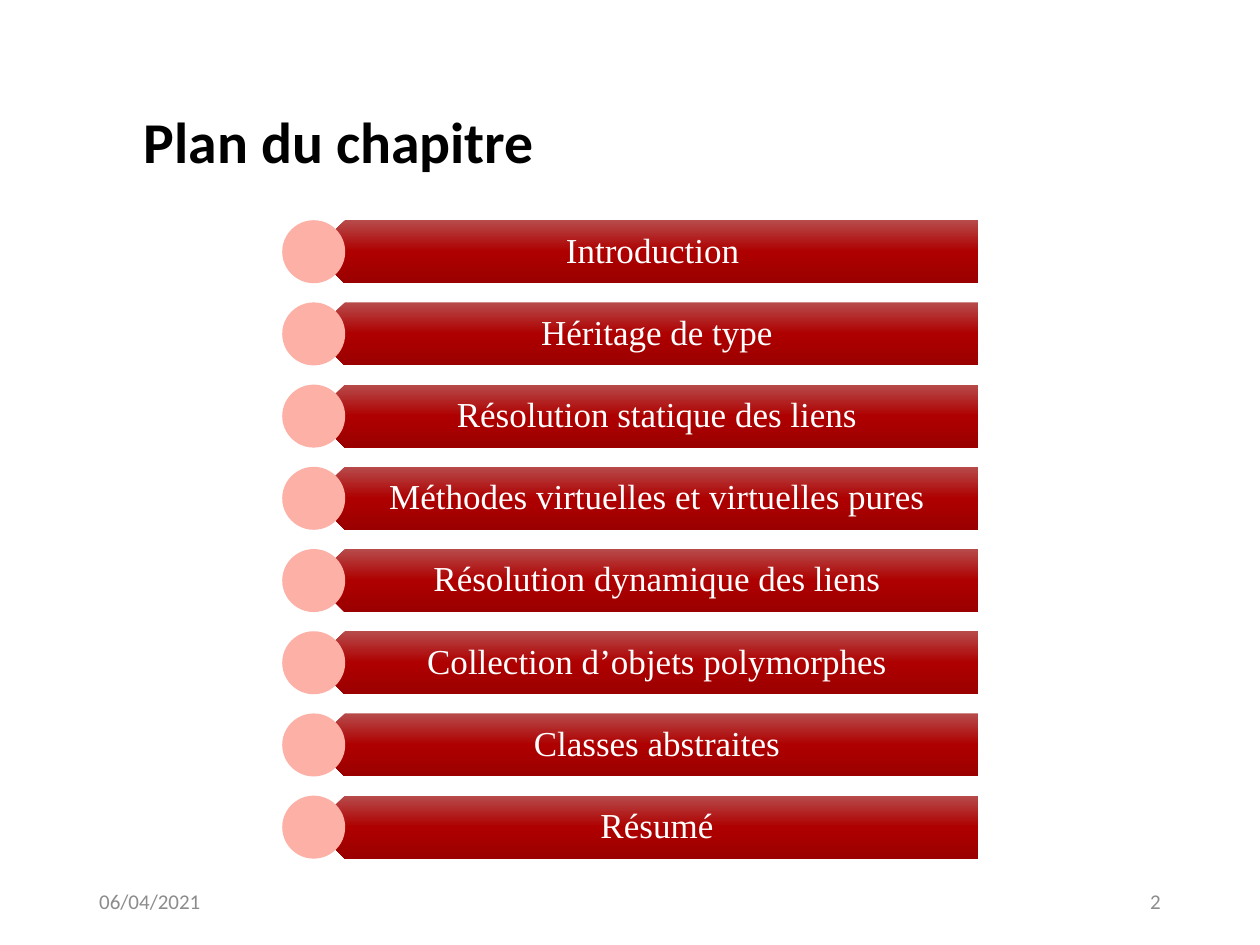
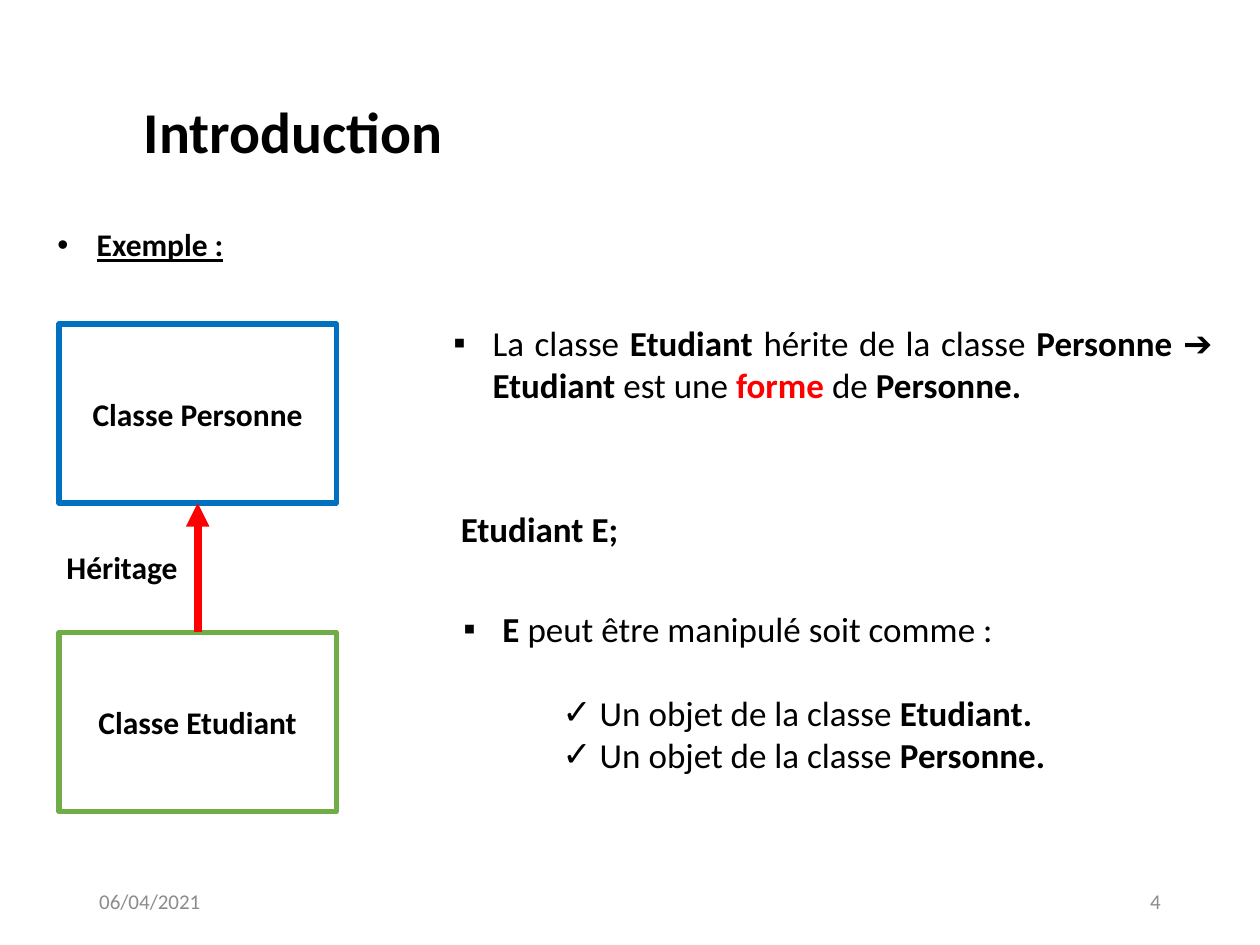
from dataclasses import dataclass

from lxml.etree import SubElement
from pptx import Presentation
from pptx.dml.color import RGBColor
from pptx.enum.shapes import MSO_CONNECTOR, MSO_SHAPE
from pptx.enum.text import MSO_ANCHOR, PP_ALIGN
from pptx.oxml import parse_xml
from pptx.oxml.ns import nsdecls, qn
from pptx.util import Cm, Pt


@dataclass(frozen=True)
class Theme:
    body_font: str = "Calibri"
    band_font: str = "Times New Roman"
    title_size: int = 33
    text_size: int = 20
    label_size: int = 18
    footer_size: int = 12
    black: str = "000000"
    white: str = "FFFFFF"
    grey: str = "8C8C8C"
    red: str = "FF0000"
    blue: str = "0070C0"
    green: str = "70AD47"
    pink: str = "FCB0A6"
    band_stops: tuple = ((0, "B74B4B"), (50, "AE0000"), (100, "9B0000"))


THEME = Theme()


def add_frame(slide, left, top, width, height, anchor=MSO_ANCHOR.TOP, margins=None):
    """Add a wrapping text box, lengths in cm, and return its text frame."""
    frame = slide.shapes.add_textbox(Cm(left), Cm(top), Cm(width), Cm(height)).text_frame
    frame.word_wrap = True
    frame.vertical_anchor = anchor
    if margins:
        (frame.margin_left, frame.margin_top,
         frame.margin_right, frame.margin_bottom) = [Cm(m) for m in margins]
    return frame


def write(paragraph, runs, size, color=THEME.black, font=THEME.body_font,
          align=PP_ALIGN.LEFT, bullet=None):
    """Write (text, bold[, color]) runs; bullet is (mark, left margin, first indent) in cm."""
    paragraph.alignment = align
    for text, bold, *own_color in runs:
        run = paragraph.add_run()
        run.text = text
        run.font.name = font
        run.font.size = Pt(size)
        run.font.bold = bold
        run.font.color.rgb = RGBColor.from_string(own_color[0] if own_color else color)
    if bullet:
        mark, left, indent = bullet
        properties = paragraph._p.get_or_add_pPr()
        properties.set("marL", str(Cm(left)))
        properties.set("indent", str(Cm(indent)))
        SubElement(properties, qn("a:buFont"), typeface="Arial")
        SubElement(properties, qn("a:buChar"), char=mark)


presentation = Presentation()
presentation.slide_width = Cm(25.4)
presentation.slide_height = Cm(19.05)

# Titles and footers
slides = []
for title, title_top, number in (("Plan du chapitre", 2.13, "2"), ("Introduction", 1.93, "4")):
    slide = presentation.slides.add_slide(presentation.slide_layouts[6])
    heading = add_frame(slide, 2.9, title_top, 20.98, 1.96, margins=(0, 0, 0, 0))
    write(heading.paragraphs[0], [(title, True)], THEME.title_size)
    for left, text, align in ((1.75, "06/04/2021", PP_ALIGN.LEFT), (17.93, number, PP_ALIGN.RIGHT)):
        footer = add_frame(slide, left, 17.65, 5.72, 1.02, MSO_ANCHOR.MIDDLE)
        write(footer.paragraphs[0], [(text, False)], THEME.footer_size, THEME.grey, align=align)
    slides.append(slide)
plan, introduction = slides

# Chapter plan: one band with a disc per section
sections = (
    "Introduction ",
    "Héritage de type",
    "Résolution statique des liens",
    "Méthodes virtuelles et virtuelles pures",
    "Résolution dynamique des liens",
    "Collection d’objets polymorphes",
    "Classes abstraites",
    "Résumé",
)
first_top, last_top, band_height = 4.44, 16.04, 1.27
pitch = (last_top - first_top) / (len(sections) - 1)
stops = "".join(f'<a:gs pos="{position * 1000}"><a:srgbClr val="{color}"/></a:gs>'
                for position, color in THEME.band_stops)
for index, section in enumerate(sections):
    top = first_top + index * pitch
    band = plan.shapes.add_shape(MSO_SHAPE.PENTAGON, Cm(6.32), Cm(top), Cm(13.4), Cm(band_height))
    band.shadow.inherit = False
    band.line.fill.background()
    band_properties = band._element.spPr
    band_properties.find(qn("a:xfrm")).set("flipH", "1")
    band_properties.find(qn("a:prstGeom")).addnext(parse_xml(
        f'<a:gradFill {nsdecls("a")} rotWithShape="1"><a:gsLst>{stops}</a:gsLst>'
        '<a:lin ang="5400000" scaled="0"/></a:gradFill>'))

    label = add_frame(plan, 6.63, top, 13.08, band_height, MSO_ANCHOR.MIDDLE,
                      (0.56, 0.2, 0.41, 0.2))
    label.paragraphs[0].line_spacing = 0.9
    write(label.paragraphs[0], [(section, False)], THEME.text_size, THEME.white,
          THEME.band_font, PP_ALIGN.CENTER)

    disc = plan.shapes.add_shape(MSO_SHAPE.OVAL, Cm(5.69), Cm(top), Cm(band_height), Cm(band_height))
    disc.shadow.inherit = False
    disc.fill.solid()
    disc.fill.fore_color.rgb = RGBColor.from_string(THEME.pink)
    disc.line.fill.background()

# Inheritance diagram
classes = []
for name, top, color in (("Classe Personne", 6.53, THEME.blue), ("Classe Etudiant", 12.75, THEME.green)):
    class_box = introduction.shapes.add_shape(MSO_SHAPE.RECTANGLE, Cm(1.19), Cm(top), Cm(5.59), Cm(3.61))
    class_box.shadow.inherit = False
    class_box.fill.solid()
    class_box.fill.fore_color.rgb = RGBColor.from_string(THEME.white)
    class_box.line.color.rgb = RGBColor.from_string(color)
    class_box.line.width = Pt(3)
    class_box.text_frame.vertical_anchor = MSO_ANCHOR.MIDDLE
    write(class_box.text_frame.paragraphs[0], [(name, True)], THEME.label_size, align=PP_ALIGN.CENTER)
    classes.append(class_box)
personne, etudiant = classes

inheritance = introduction.shapes.add_connector(MSO_CONNECTOR.STRAIGHT, 0, 0, 0, 0)
inheritance.begin_connect(etudiant, 0)
inheritance.end_connect(personne, 2)
inheritance.line.color.rgb = RGBColor.from_string(THEME.red)
inheritance.line.width = Pt(4.5)
SubElement(inheritance.line._get_or_add_ln(), qn("a:tailEnd"), type="triangle")
SubElement(inheritance._element.spPr, qn("a:effectLst"))

inheritance_label = add_frame(introduction, 1.09, 10.92, 3.2, 1.02)
write(inheritance_label.paragraphs[0], [("Héritage", True)], THEME.label_size)

# Example and explanations
square = ("▪", 0.79, -0.79)
check = ("✓", 1.75, 0.25)

example = add_frame(introduction, 0.89, 4.04, 4.06, 1.3).paragraphs[0]
example.line_spacing = 1.5
write(example, [("Exemple :", True)], THEME.label_size, bullet=("•", 0.81, -0.79))
example.runs[0].font.underline = True

relation = add_frame(introduction, 8.89, 6.35, 15.8, 1.96).paragraphs[0]
write(relation, [
    ("La classe ", False), ("Etudiant ", True), ("hérite de la classe ", False),
    ("Personne ", True), ("➔ ", False), ("Etudiant", True), (" est une ", False),
    ("forme", True, THEME.red), (" de ", False), ("Personne.", True),
], THEME.text_size, align=PP_ALIGN.JUSTIFY, bullet=square)

declaration = add_frame(introduction, 9.04, 10.11, 9.4, 1.12).paragraphs[0]
write(declaration, [("Etudiant E;", True)], THEME.text_size)

usage = add_frame(introduction, 9.09, 12.12, 15.8, 3.68)
write(usage.paragraphs[0], [("E ", True), ("peut être manipulé soit comme :", False)],
      THEME.text_size, align=PP_ALIGN.JUSTIFY, bullet=square)
for class_name, space_before in (("Etudiant.", 24), ("Personne.", 0)):
    option = usage.add_paragraph()
    option.space_before = Pt(space_before)
    write(option, [(" Un objet de la classe ", False), (class_name, True)],
          THEME.text_size, align=PP_ALIGN.JUSTIFY, bullet=check)

presentation.save("out.pptx")
